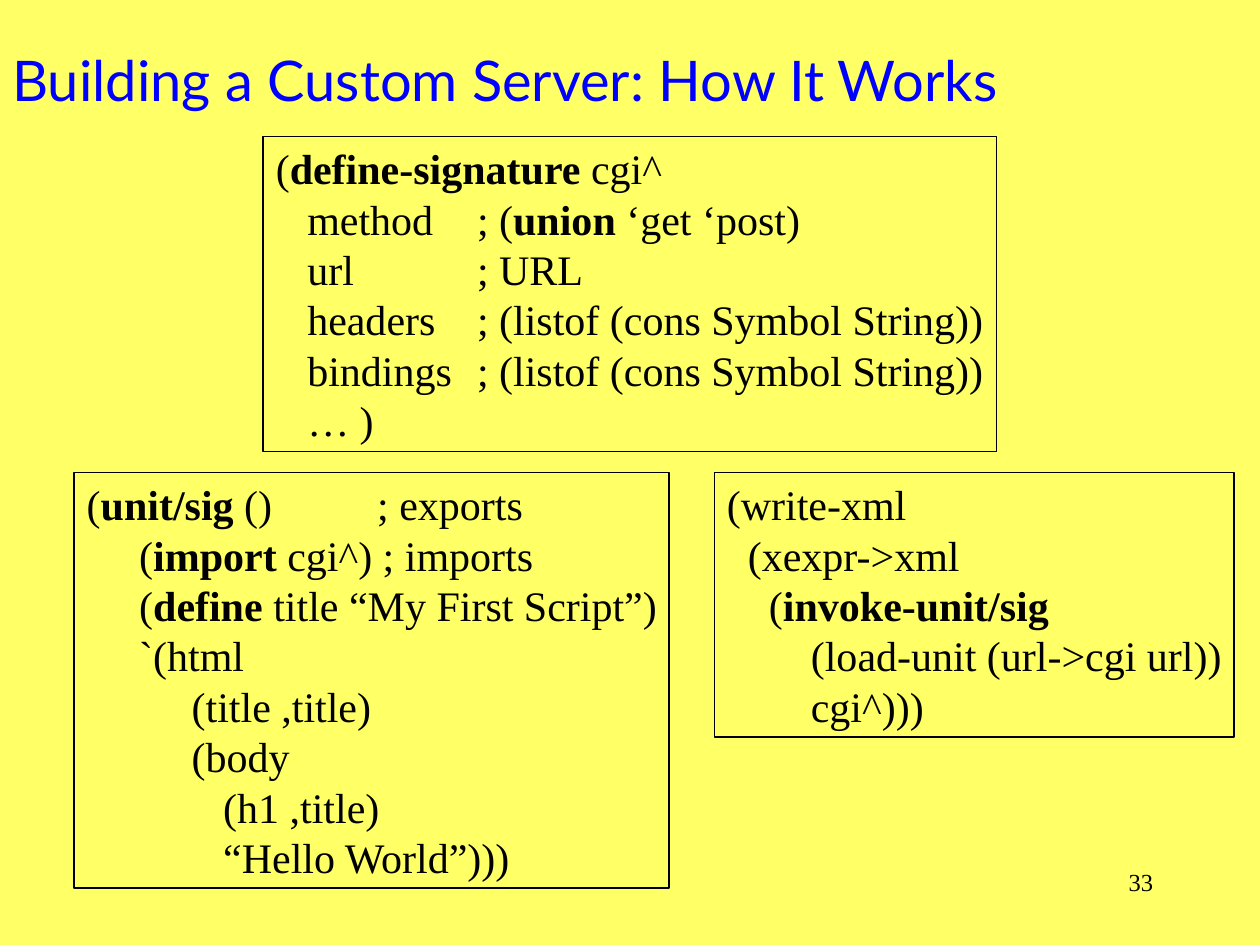
from dataclasses import dataclass

from lxml.etree import SubElement
from pptx import Presentation
from pptx.dml.color import RGBColor
from pptx.enum.shapes import MSO_SHAPE
from pptx.enum.text import MSO_ANCHOR, PP_ALIGN
from pptx.oxml.ns import qn
from pptx.util import Pt


@dataclass(frozen=True)
class Theme:
    background: RGBColor = RGBColor(0xFF, 0xFF, 0x66)
    accent: RGBColor = RGBColor(0x00, 0x00, 0xFF)
    ink: RGBColor = RGBColor(0x00, 0x00, 0x00)
    title_font: str = "Lato"
    body_font: str = "Times New Roman"
    title_size: float = 32
    code_size: float = 24
    number_size: float = 14
    code_pitch: float = 28.8
    border: float = 1


THEME = Theme()

TITLE = "Building a Custom Server: How It Works"
PAGE_NUMBER = "33"

# Double asterisks enclose bold words; tabs lead to the stops of each listing.
UNIT = [
    "(**unit/sig** ()\t; exports",
    "\t(**import** cgi^) ; imports",
    "\t(**define** title “My First Script”)",
    "\t`(html",
    "\t\t(title ,title)",
    "\t\t(body",
    "\t\t\t(h1 ,title)",
    "\t\t\t“Hello World”)))",
]
INVOCATION = [
    "(write-xml",
    "\t(xexpr->xml",
    "\t\t(**invoke-unit/sig**",
    "\t\t\t(load-unit (url->cgi url))",
    "\t\t\tcgi^)))",
]
SIGNATURE = [
    "(**define-signature **cgi^",
    "\tmethod\t; (**union **‘get ‘post)",
    "\turl\t; URL",
    "\theaders\t; (listof (cons Symbol String))",
    "\tbindings\t; (listof (cons Symbol String))",
    "\t… )",
]

LOWER_TOP = 270
# lines, left, top, width, tab stops
LISTINGS = [
    (UNIT, 42.5, LOWER_TOP, 340, (30, 60, 78, 166)),
    (INVOCATION, 408.3, LOWER_TOP, 297, (12, 24, 48)),
    (SIGNATURE, 150.5, 78, 419, (18, 115)),
]
VERTICAL_INSETS = 7.2


def write(shape, lines, *, font, size, color, align=PP_ALIGN.LEFT,
          anchor=MSO_ANCHOR.TOP, wrap=True, pitch=None, stops=()):
    """Fill a shape with lines, setting the marked words in bold."""
    frame = shape.text_frame
    frame.word_wrap = wrap
    frame.vertical_anchor = anchor
    for index, line in enumerate(lines):
        paragraph = frame.add_paragraph() if index else frame.paragraphs[0]
        paragraph.alignment = align
        if pitch:
            paragraph.line_spacing = Pt(pitch)
        if stops:
            tabs = SubElement(paragraph._p.get_or_add_pPr(), qn("a:tabLst"))
            for stop in stops:
                SubElement(tabs, qn("a:tab"), pos=str(Pt(stop)), algn="l")
        for part, words in enumerate(line.split("**")):
            if words:
                run = paragraph.add_run()
                run.text = words
                run.font.name = font
                run.font.size = Pt(size)
                run.font.color.rgb = color
                run.font.bold = part % 2 == 1


def add_listing(slide, lines, left, top, width, stops):
    height = len(lines) * THEME.code_pitch + VERTICAL_INSETS
    box = slide.shapes.add_shape(
        MSO_SHAPE.RECTANGLE, Pt(left), Pt(top), Pt(width), Pt(height))
    box.shadow.inherit = False
    box.fill.background()
    box.line.color.rgb = THEME.ink
    box.line.width = Pt(THEME.border)
    write(box, lines, font=THEME.body_font, size=THEME.code_size,
          color=THEME.ink, wrap=False, pitch=THEME.code_pitch, stops=stops)


def main():
    deck = Presentation()
    deck.slide_width, deck.slide_height = Pt(720), Pt(540)
    slide = deck.slides.add_slide(deck.slide_layouts[6])
    slide.background.fill.solid()
    slide.background.fill.fore_color.rgb = THEME.background

    title = slide.shapes.add_textbox(Pt(0), Pt(0), Pt(612), Pt(90))
    write(title, [TITLE], font=THEME.title_font, size=THEME.title_size,
          color=THEME.accent, anchor=MSO_ANCHOR.MIDDLE)

    for listing in LISTINGS:
        add_listing(slide, *listing)

    number = slide.shapes.add_textbox(Pt(516), Pt(492), Pt(150), Pt(36))
    write(number, [PAGE_NUMBER], font=THEME.body_font, size=THEME.number_size,
          color=THEME.ink, align=PP_ALIGN.RIGHT)

    deck.save("out.pptx")


if __name__ == "__main__":
    main()
